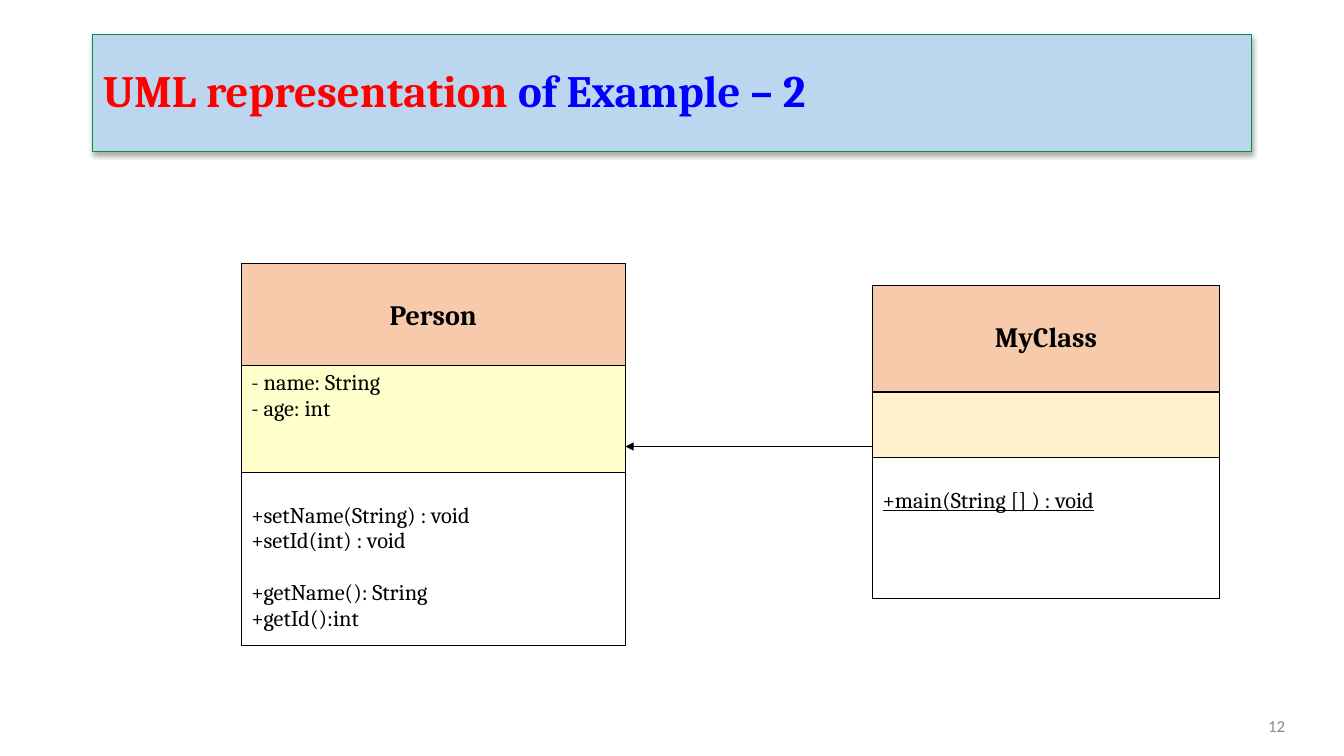
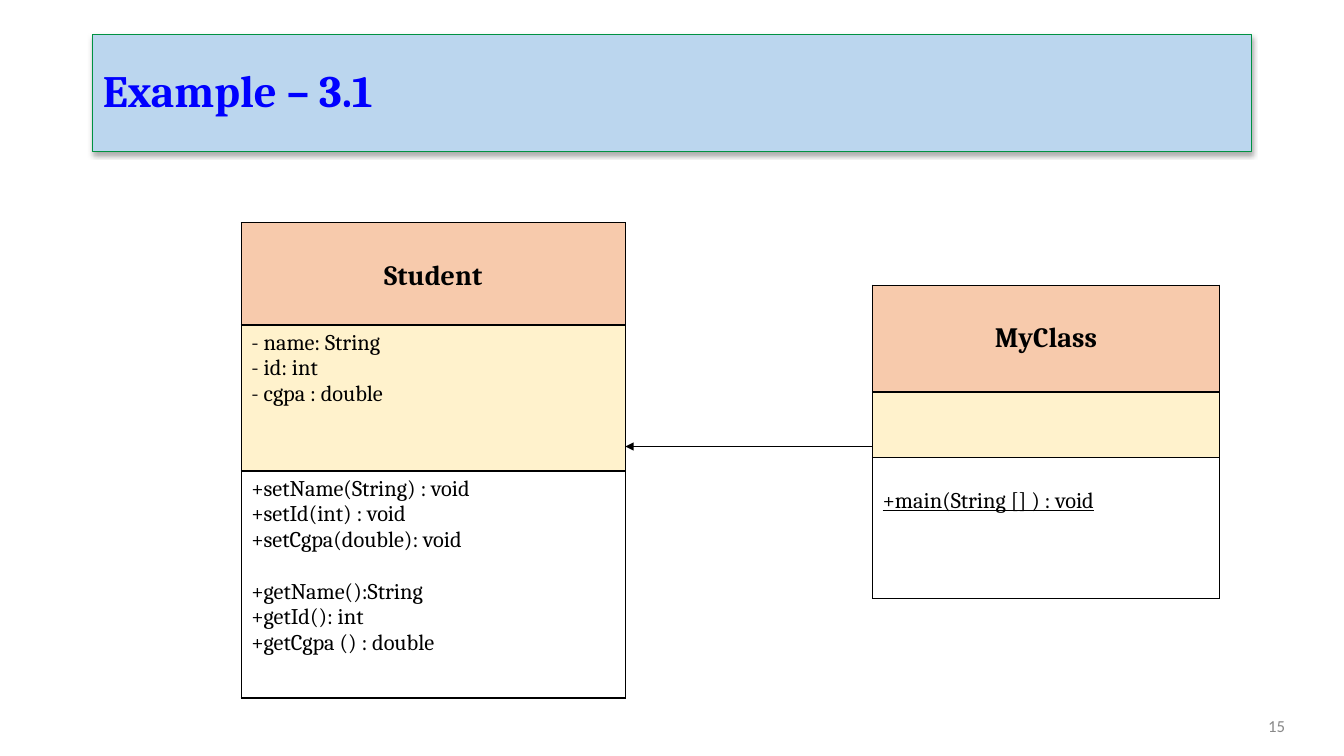
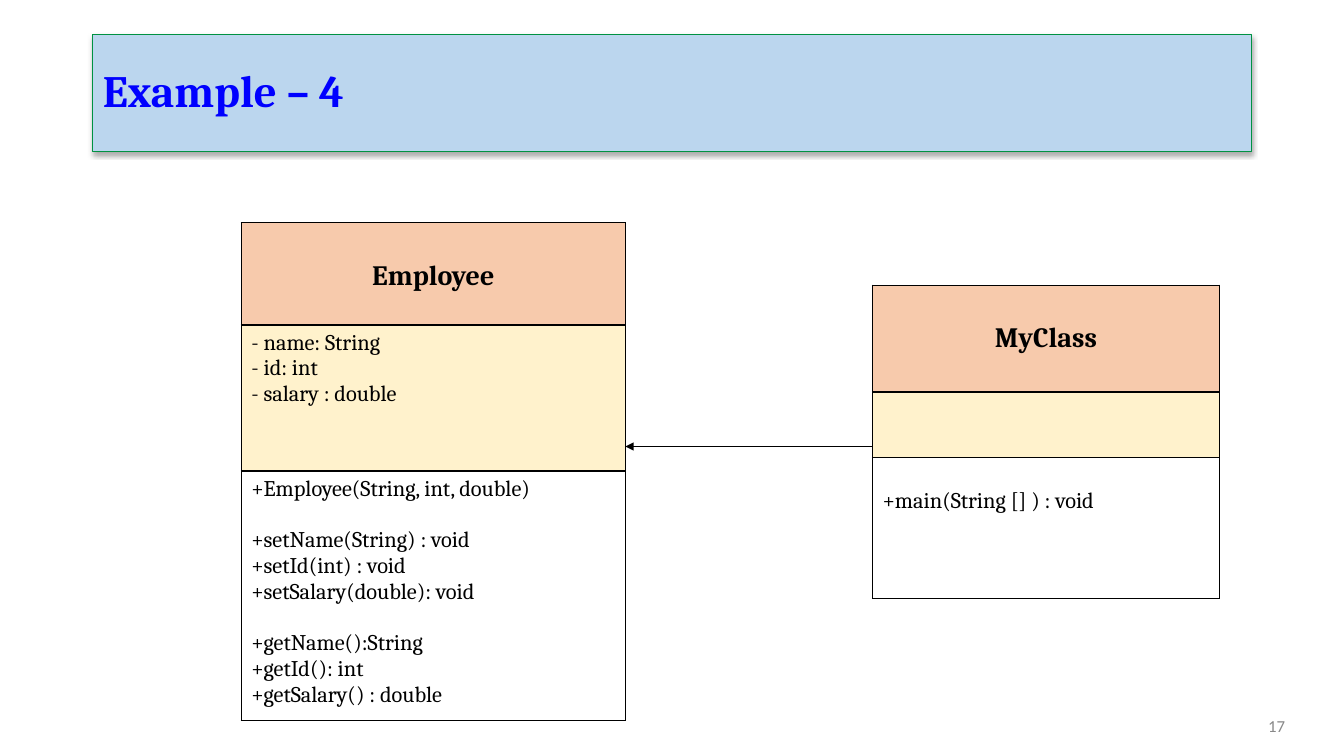
from lxml import etree
from pptx import Presentation
from pptx.dml.color import RGBColor
from pptx.enum.shapes import MSO_CONNECTOR
from pptx.enum.text import MSO_ANCHOR, MSO_AUTO_SIZE, PP_ALIGN
from pptx.oxml.ns import qn
from pptx.util import Cm, Pt

LEFT, CENTER, RIGHT = PP_ALIGN.LEFT, PP_ALIGN.CENTER, PP_ALIGN.RIGHT
MIDDLE = MSO_ANCHOR.MIDDLE
NO_AUTOFIT = MSO_AUTO_SIZE.NONE
STRAIGHT = MSO_CONNECTOR.STRAIGHT

BLACK = RGBColor(0x00, 0x00, 0x00)
WHITE = RGBColor(0xFF, 0xFF, 0xFF)
RED = RGBColor(0xFF, 0x00, 0x00)
BLUE = RGBColor(0x00, 0x00, 0xFF)
GREEN = RGBColor(0x00, 0x92, 0x42)
GRAY = RGBColor(0x88, 0x88, 0x88)
BAND_BLUE = RGBColor(0xBB, 0xD6, 0xEE)
PEACH = RGBColor(0xF7, 0xCA, 0xAC)
YELLOW = RGBColor(0xFF, 0xFF, 0xCC)
CREAM = RGBColor(0xFF, 0xF2, 0xCC)

HEADING_FONT, NUMBER_FONT = "Cambria", "Calibri"
NAME_SIZE, MEMBER_SIZE = 20, 16
LINE_HEIGHT = 1.15  # of the font size
MODEL_LEFT, MODEL_WIDTH = 6.08, 9.68
MAIN_LEFT, MAIN_TOP, MAIN_WIDTH = 21.99, 7.19, 8.74
MAIN_ROWS = (2.69, 1.65, 3.56)
ARROW_Y = 11.25

# An empty string in a list of members opens a gap of one line.
SLIDES = [
    {
        "number": "12",
        "title": [("UML representation ", RED), ("of Example – 2", BLUE)],
        "class": "Person",
        "attributes": ["- name: String", "- age: int"],
        "methods": ["", "+setName(String) : void", "+setId(int) : void",
                    "", "+getName(): String", "+getId():int"],
        "top": 6.63, "rows": (2.58, 2.69, 4.37),
        "attribute_fill": YELLOW, "main_underline": True,
    },
    {
        "number": "15",
        "title": [("Example – 3.1", BLUE)],
        "class": "Student",
        "attributes": ["- name: String", "- id: int", "- cgpa : double"],
        "methods": ["+setName(String) : void", "+setId(int) : void",
                    "+setCgpa(double): void",
                    "", "+getName():String", "+getId(): int",
                    "+getCgpa () : double"],
        "top": 5.61, "rows": (2.58, 3.68, 5.72),
        "attribute_fill": CREAM, "main_underline": True,
    },
    {
        "number": "17",
        "title": [("Example – 4", BLUE)],
        "class": "Employee",
        "attributes": ["- name: String", "- id: int", "- salary : double"],
        "methods": ["+Employee(String, int, double)",
                    "", "+setName(String) : void", "+setId(int) : void",
                    "+setSalary(double): void",
                    "", "+getName():String", "+getId(): int",
                    "+getSalary() : double"],
        "top": 5.61, "rows": (2.58, 3.68, 6.1),
        "attribute_fill": CREAM, "main_underline": False,
    },
]


def add_run(paragraph, text, size, color, bold=False, underline=False,
            font_name=HEADING_FONT):
    run = paragraph.add_run()
    run.text = text
    font = run.font
    font.name, font.size, font.bold = font_name, Pt(size), bold
    font.color.rgb = color
    if underline:
        font.underline = True


def add_band_shadow(shape):
    effects = etree.SubElement(shape.fill._xPr, qn("a:effectLst"))
    shadow = etree.SubElement(effects, qn("a:outerShdw"), blurRad=str(Pt(3.5)),
                              dist=str(Pt(2.2)), dir="5400000", rotWithShape="0")
    color = etree.SubElement(shadow, qn("a:srgbClr"), val=str(BLACK))
    etree.SubElement(color, qn("a:alpha"), val="32000")


def format_title(title, runs):
    title.left, title.top = Cm(2.34), Cm(0.86)
    title.width, title.height = Cm(29.21), Cm(2.95)
    title.fill.solid()
    title.fill.fore_color.rgb = BAND_BLUE
    title.line.color.rgb = GREEN
    title.line.width = Pt(0.75)
    add_band_shadow(title)
    frame = title.text_frame
    frame.auto_size = NO_AUTOFIT
    frame.vertical_anchor = MIDDLE
    paragraph = frame.paragraphs[0]
    paragraph.alignment = LEFT
    paragraph.line_spacing = 0.9
    for text, color in runs:
        add_run(paragraph, text, 32, color, bold=True)


def add_slide_number(slide, number):
    box = slide.shapes.add_textbox(Cm(25.02), Cm(17.78), Cm(7.62), Cm(1.02))
    frame = box.text_frame
    frame.word_wrap = True
    frame.vertical_anchor = MIDDLE
    paragraph = frame.paragraphs[0]
    paragraph.alignment = RIGHT
    add_run(paragraph, number, 12, GRAY, font_name=NUMBER_FONT)


def add_borders(cell):
    properties = cell._tc.get_or_add_tcPr()
    for side in ("lnL", "lnR", "lnT", "lnB"):
        line = etree.SubElement(properties, qn(f"a:{side}"), w=str(Pt(1)))
        fill = etree.SubElement(line, qn("a:solidFill"))
        etree.SubElement(fill, qn("a:srgbClr"), val=str(BLACK))


def write_lines(cell, lines, size, alignment=LEFT, **style):
    """One paragraph per line; an empty line becomes space above the next."""
    gap = Pt(size * LINE_HEIGHT)
    paragraph, pending_gap = None, False
    for line in lines:
        if not line:
            pending_gap = True
            continue
        if paragraph is None:
            paragraph = cell.text_frame.paragraphs[0]
            if pending_gap:
                cell.margin_top += gap
        else:
            paragraph = cell.text_frame.add_paragraph()
            if pending_gap:
                paragraph.space_before = gap
        pending_gap = False
        paragraph.alignment = alignment
        add_run(paragraph, line, size, BLACK, **style)


def add_class_table(slide, left, top, width, heights, name, attributes, methods,
                    attribute_fill=CREAM, underline=False):
    frame = slide.shapes.add_table(3, 1, Cm(left), Cm(top), Cm(width),
                                   Cm(sum(heights)))
    table = frame.table
    table.first_row = table.horz_banding = False
    cells = [table.cell(row, 0) for row in range(3)]
    for row, height, cell, color in zip(table.rows, heights, cells,
                                        (PEACH, attribute_fill, WHITE)):
        row.height = Cm(height)
        add_borders(cell)
        cell.fill.solid()
        cell.fill.fore_color.rgb = color
    name_cell, attribute_cell, method_cell = cells
    write_lines(name_cell, ["", name], NAME_SIZE, CENTER, bold=True)
    write_lines(attribute_cell, attributes, MEMBER_SIZE)
    write_lines(method_cell, methods, MEMBER_SIZE, underline=underline)


def add_arrow(slide, start_x, end_x, y):
    arrow = slide.shapes.add_connector(STRAIGHT, Cm(start_x), Cm(y),
                                       Cm(end_x), Cm(y))
    arrow.line.color.rgb = BLACK
    arrow.line.width = Pt(1)
    etree.SubElement(arrow.line._get_or_add_ln(), qn("a:tailEnd"), type="triangle")
    etree.SubElement(arrow._element.spPr, qn("a:effectLst"))


def main():
    presentation = Presentation()
    presentation.slide_width, presentation.slide_height = Cm(33.87), Cm(19.05)
    title_only = presentation.slide_layouts[5]
    for content in SLIDES:
        slide = presentation.slides.add_slide(title_only)
        format_title(slide.shapes.title, content["title"])
        add_slide_number(slide, content["number"])
        add_class_table(slide, MODEL_LEFT, content["top"], MODEL_WIDTH,
                        content["rows"], content["class"], content["attributes"],
                        content["methods"], content["attribute_fill"])
        add_class_table(slide, MAIN_LEFT, MAIN_TOP, MAIN_WIDTH, MAIN_ROWS,
                        "MyClass", [], ["", "+main(String [] ) : void"],
                        underline=content["main_underline"])
        add_arrow(slide, MAIN_LEFT, MODEL_LEFT + MODEL_WIDTH, ARROW_Y)
    presentation.save("out.pptx")


if __name__ == "__main__":
    main()
